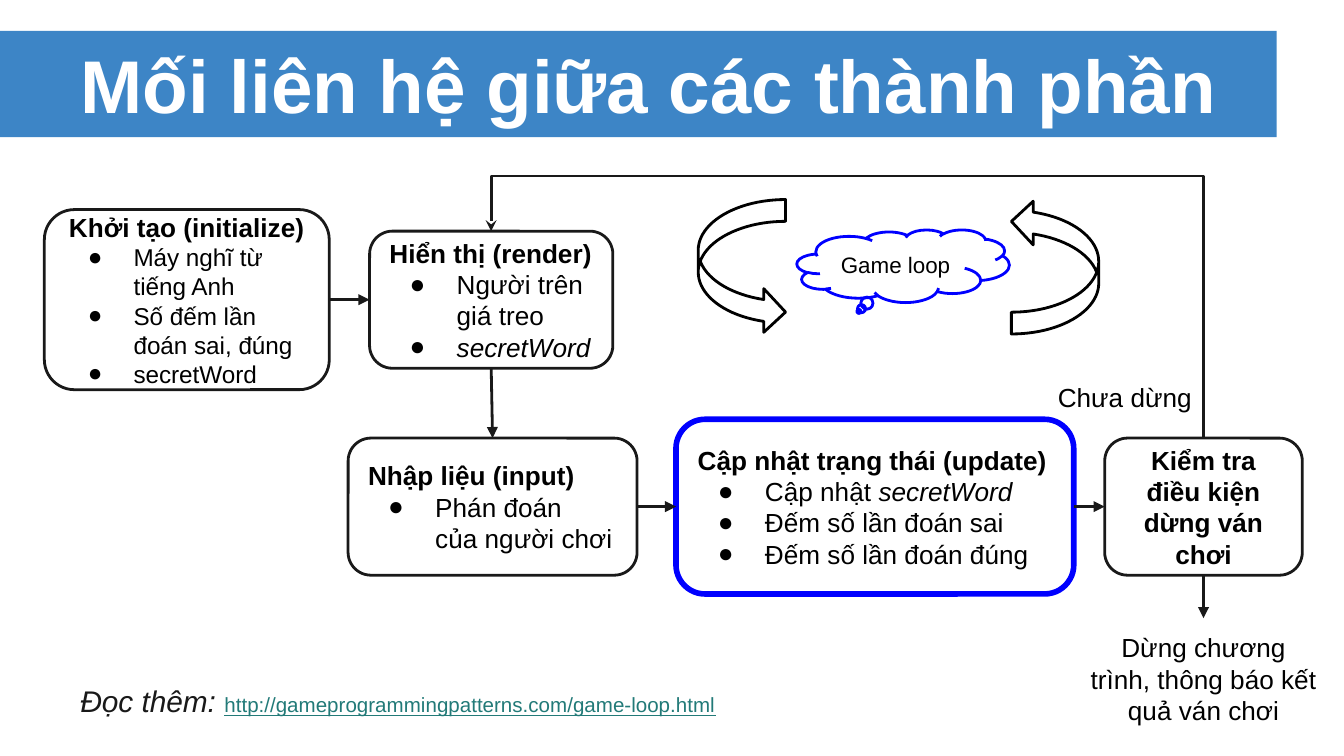
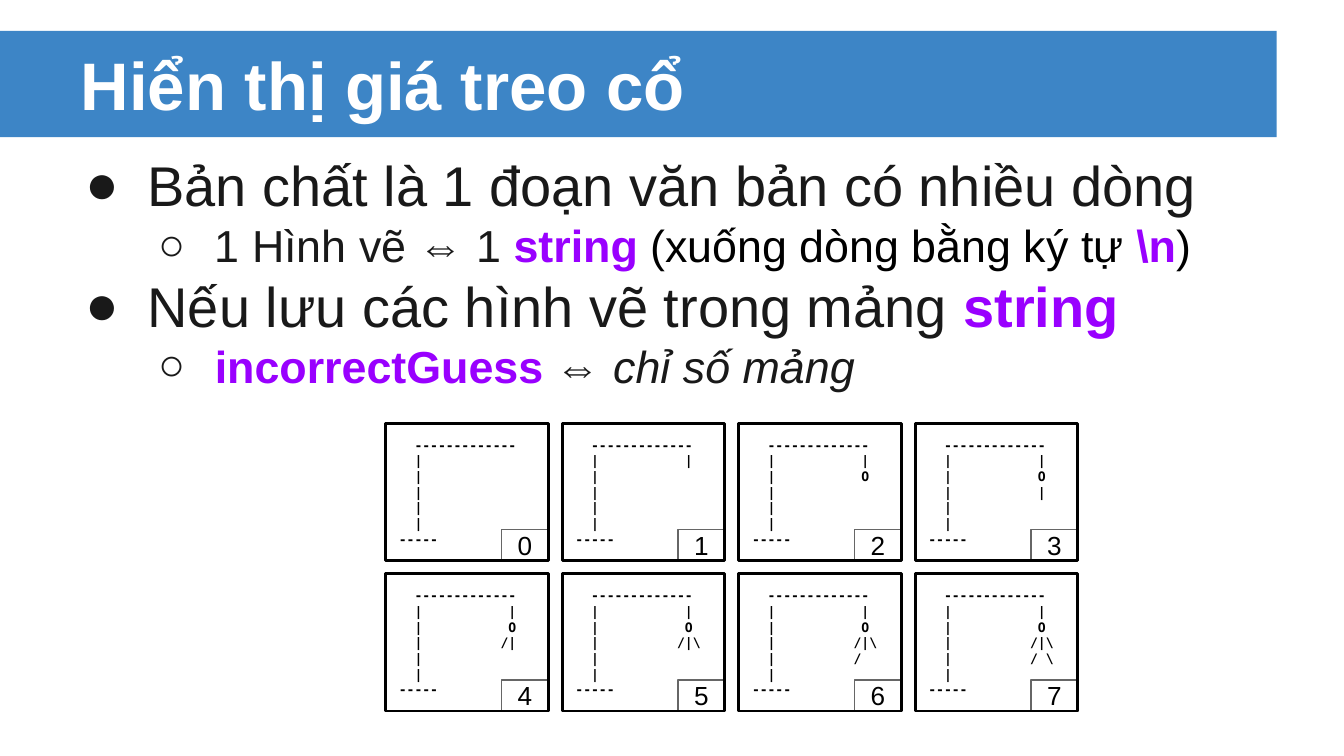
from itertools import product

from lxml import etree
from pptx import Presentation
from pptx import util as u
from pptx.dml.color import RGBColor
from pptx.enum import shapes, text
from pptx.oxml.ns import qn

BLUE, BRIGHT, PURPLE, TEAL = "3D85C6", "0000FF", "9900FF", "227A78"
BLACK, INK, GREY, WHITE = "000000", "191919", "666666", "FFFFFF"
SANS, MONO = "Arial", "DejaVu Sans Mono"
SHAPE = shapes.MSO_SHAPE
LEFT, CENTER = text.PP_ALIGN.LEFT, text.PP_ALIGN.CENTER
TOP, MIDDLE, BOTTOM = (text.MSO_ANCHOR.TOP, text.MSO_ANCHOR.MIDDLE,
                       text.MSO_ANCHOR.BOTTOM)
SIDE_TOP, SIDE_LEFT, SIDE_BOTTOM, SIDE_RIGHT = range(4)

TITLE_BOX = (0.5, 0.23, 9, 0.79)
BODY_BOX = (0.5, 1.02, 9, 4.37)

ROPE, HEAD, ARMS = " |", " O", "/|\\"
FIGURES = [
    [],
    [ROPE],
    [ROPE, HEAD],
    [ROPE, HEAD, " |"],
    [ROPE, HEAD, "/|"],
    [ROPE, HEAD, ARMS],
    [ROPE, HEAD, ARMS, "/"],
    [ROPE, HEAD, ARMS, "/ \\"],
]


def rgb(value):
    return RGBColor.from_string(value)


def inches(box):
    return [u.Inches(v) for v in box]


def sub(parent, tag, **attrs):
    el = etree.SubElement(parent, qn(tag))
    for name, value in attrs.items():
        el.set(name, str(value))
    return el


def run(content, size=14, color=BLACK, name=SANS, **style):
    """Describe a run: its text, its colour and its font values."""
    return content, color, dict(size=u.Pt(size), name=name, **style)


def para(*runs, align=LEFT, before=0, level=0, bullet=None, indent=0, hang=0,
         bullet_color=BLACK):
    """Describe a paragraph; hang is how far the bullet stands left of indent."""
    values = dict(alignment=align, space_before=u.Pt(before), level=level)
    return runs, values, (bullet, indent, hang, bullet_color)


def item(*runs, hang=0.35):
    return para(*runs, bullet="●", indent=0.5, hang=hang)


def write(tf, paras, anchor=TOP):
    """Fill a text frame from described paragraphs."""
    margins = {f"margin_{side}": u.Inches(0.1)
               for side in ("left", "top", "right", "bottom")}
    frame = dict(margins, word_wrap=True, vertical_anchor=anchor,
                 auto_size=text.MSO_AUTO_SIZE.NONE)
    for key, value in frame.items():
        setattr(tf, key, value)
    for i, (runs, values, (bullet, indent, hang, color)) in enumerate(paras):
        p = tf.add_paragraph() if i else tf.paragraphs[0]
        for key, value in values.items():
            setattr(p, key, value)
        if indent:
            pPr = p._p.get_or_add_pPr()
            pPr.set("marL", str(u.Inches(indent)))
            pPr.set("indent", str(u.Inches(-hang)))
            if bullet:
                sub(sub(pPr, "a:buClr"), "a:srgbClr", val=color)
                sub(pPr, "a:buFont", typeface=SANS)
                sub(pPr, "a:buChar", char=bullet)
        for content, color, font in runs:
            r = p.add_run()
            r.text = content
            r.font.color.rgb = rgb(color)
            for key, value in font.items():
                setattr(r.font, key, value)


def outline(s, kind, box, color=INK, weight=1.5, paras=(), rotation=0):
    """Add an unfilled preset shape with middle-anchored text."""
    sp = s.shapes.add_shape(kind, *inches(box))
    sp.shadow.inherit = False
    sp.fill.background()
    sp.line.color.rgb = rgb(color)
    sp.line.width = u.Pt(weight)
    sp.rotation = rotation
    write(sp.text_frame, paras, MIDDLE)
    return sp


def text_box(s, box, paras, anchor=TOP):
    sp = s.shapes.add_textbox(*inches(box))
    write(sp.text_frame, paras, anchor)
    return sp


def arrow_style(c, head):
    c.line.color.rgb = rgb(INK)
    c.line.width = u.Pt(1.5)
    spPr = c.element.spPr
    sub(spPr.find(qn("a:ln")), "a:tailEnd", type=head)
    sub(spPr, "a:effectLst")


def arrow(s, start, start_side, end, end_side):
    c = s.shapes.add_connector(shapes.MSO_CONNECTOR.STRAIGHT, 0, 0, 0, 0)
    c.begin_connect(start, start_side)
    c.end_connect(end, end_side)
    arrow_style(c, "triangle")


def loop_arrow(s, start, end, rise):
    """Run from the top of start, over by rise, down to the top of end."""
    x1, x2 = (sp.left + sp.width // 2 for sp in (start, end))
    drop, reach = start.top - end.top, x1 - x2
    c = s.shapes.add_connector(shapes.MSO_CONNECTOR.ELBOW, 0, 0, 1, 1)
    c.left = (x1 + x2 - drop) // 2
    c.top = (start.top + end.top - reach) // 2
    c.width, c.height = drop, reach
    xfrm = c.element.spPr.find(qn("a:xfrm"))
    xfrm.set("rot", "5400000")
    xfrm.set("flipH", "1")
    ratio = round(100000 * (1 + u.Inches(rise) / drop))
    sub(c.element.spPr.find(".//" + qn("a:avLst")), "a:gd",
        name="adj1", fmla=f"val {ratio}")
    arrow_style(c, "stealth")


def add_band(s):
    """Put the title band into the layout that all slides share."""
    band = s.shapes.add_shape(SHAPE.RECTANGLE, *inches((0, 0.23, 9.5, 0.79)))
    band.shadow.inherit = False
    band.fill.solid()
    band.fill.fore_color.rgb = rgb(BLUE)
    band.line.fill.background()
    s.slide_layout.shapes.element.insert(2, band.element)


def titled_slide(prs, title, size, before=0):
    s = prs.slides.add_slide(prs.slide_layouts[5])
    sp = s.shapes.title
    sp.left, sp.top, sp.width, sp.height = inches(TITLE_BOX)
    heading = run(title, size, WHITE, bold=True)
    write(sp.text_frame, [para(heading, before=before)], MIDDLE)
    return s


def further_reading(s, box):
    sp = text_box(s, box, [para(
        run("Đọc thêm: ", 16, INK, italic=True),
        run("http://gameprogrammingpatterns.com/game-loop.html", 11, TEAL,
            underline=True))], BOTTOM)
    sp.text_frame.margin_bottom = u.Inches(0.04)


def game_flow(s, x, y):
    """Draw the steps of the game and the arrows between them."""
    def step(box, paras, color=INK, weight=1.5):
        left, top, w, h = box
        return outline(s, SHAPE.ROUNDED_RECTANGLE, (x + left, y + top, w, h),
                       color, weight, paras)

    def head(content, align=LEFT):
        return para(run(content, bold=True), align=align)

    init = step((0, 0.25, 2.12, 1.34), [
        head("Khởi tạo (initialize)", CENTER),
        *(item(run(t, 13), hang=0.34) for t in (
            "Máy nghĩ từ tiếng Anh", "Số đếm lần đoán sai, đúng",
            "secretWord"))])
    render = step((2.42, 0.41, 1.81, 1.02), [
        head("Hiển thị (render)"),
        item(run("Người trên giá treo")),
        item(run("secretWord", italic=True))])
    entry = step((2.26, 1.95, 2.15, 1.02), [
        head("Nhập liệu (input)"),
        item(run("Phán đoán")),
        para(run("của người chơi"), indent=0.5)])
    update = step((4.7, 1.81, 2.96, 1.3), [
        head("Cập nhật trạng thái (update)"),
        item(run("Cập nhật "), run("secretWord", italic=True)),
        item(run("Đếm số lần đoán sai")),
        item(run("Đếm số lần đoán đúng"))], BRIGHT, 3)
    check = step((7.89, 1.95, 1.47, 1.02),
                 [head("Kiểm tra điều kiện dừng ván chơi", CENTER)])
    finish = text_box(s, (x + 7.67, y + 3.29, 1.91, 0.97), [para(
        run("Dừng chương trình, thông báo kết quả ván chơi"), align=CENTER)])
    text_box(s, (x + 7.39, y + 1.43, 1.3, 0.48),
             [para(run("Chưa dừng"), align=CENTER)])

    arrow(s, init, SIDE_RIGHT, render, SIDE_LEFT)
    arrow(s, render, SIDE_BOTTOM, entry, SIDE_TOP)
    arrow(s, entry, SIDE_RIGHT, update, SIDE_LEFT)
    arrow(s, update, SIDE_RIGHT, check, SIDE_LEFT)
    arrow(s, check, SIDE_BOTTOM, finish, SIDE_TOP)
    loop_arrow(s, check, render, 0.41)


def game_loop_sign(s, x, y):
    outline(s, SHAPE.CLOUD_CALLOUT, (x + 0.91, y + 0.05, 1.58, 0.54), BRIGHT,
            paras=[para(run("Game loop", 12), align=CENTER)])
    for left, rotation in ((2.33, 270), (0, 90)):
        outline(s, SHAPE.CURVED_UP_ARROW, (x + left, y, 1, 0.65), BLACK,
                rotation=rotation)


def outline_text(s, box):
    def point(*runs, before=0):
        return para(*runs, before=before, bullet="●", indent=0.5, hang=0.46,
                    bullet_color=INK)

    def detail(*runs):
        return para(*runs, level=1, bullet="○", indent=1, hang=0.42,
                    bullet_color=INK)

    def key(content, size):
        return run(content, size, PURPLE, bold=True)

    text_box(s, box, [
        point(run("Bản chất là 1 đoạn văn bản có nhiều dòng", 30, INK),
              before=6),
        detail(run("1 Hình vẽ ⇔ 1 ", 24, INK), key("string ", 24),
               run("(xuống dòng bằng ký tự ", 24), key("\\n", 24),
               run(")", 24)),
        point(run("Nếu lưu các hình vẽ trong mảng ", 30, INK),
              key("string", 30)),
        detail(key("incorrectGuess", 24), run(" ⇔ ", 24, INK),
               run("chỉ số mảng", 24, INK, italic=True))])


def gallows_rows(figure):
    posts = ["  |" + (" " * 10 + part if part else "")
             for part in figure + [""] * (5 - len(figure))]
    return ["  " + "-" * 13, *posts, "-" * 5]


def gallows_grid(s, box, cols=4, rows=2):
    """Spread the numbered gallows evenly over the box."""
    x, y, w, h = box
    cell_w, cell_h, tag_w, tag_h = 1.21, 1.02, 0.35, 0.23
    step_x = (w - cell_w) / (cols - 1)
    step_y = (h - cell_h) / (rows - 1)
    for i, (row, col) in enumerate(product(range(rows), range(cols))):
        left, top = x + col * step_x, y + row * step_y
        tag = (left + cell_w - tag_w, top + cell_h - tag_h, tag_w, tag_h)
        outline(s, SHAPE.RECTANGLE, tag, GREY, 0.75,
                [para(run(str(i)), align=CENTER)])
        outline(s, SHAPE.RECTANGLE, (left, top, cell_w, cell_h), BLACK,
                paras=[para(run(line, 7, name=MONO, bold=True))
                       for line in gallows_rows(FIGURES[i])])


def main():
    prs = Presentation()
    prs.slide_width = u.Inches(10)
    prs.slide_height = prs.slide_width * 9 // 16

    s = titled_slide(prs, "Mối liên hệ giữa các thành phần", 40, before=6)
    add_band(s)
    further_reading(s, BODY_BOX)
    game_flow(s, 0.33, 1.31)
    game_loop_sign(s, 5.02, 1.66)

    s = titled_slide(prs, "Hiển thị giá treo cổ", 36)
    outline_text(s, BODY_BOX)
    gallows_grid(s, (2.87, 3.15, 5.15, 2.14))

    prs.save("out.pptx")


if __name__ == "__main__":
    main()
